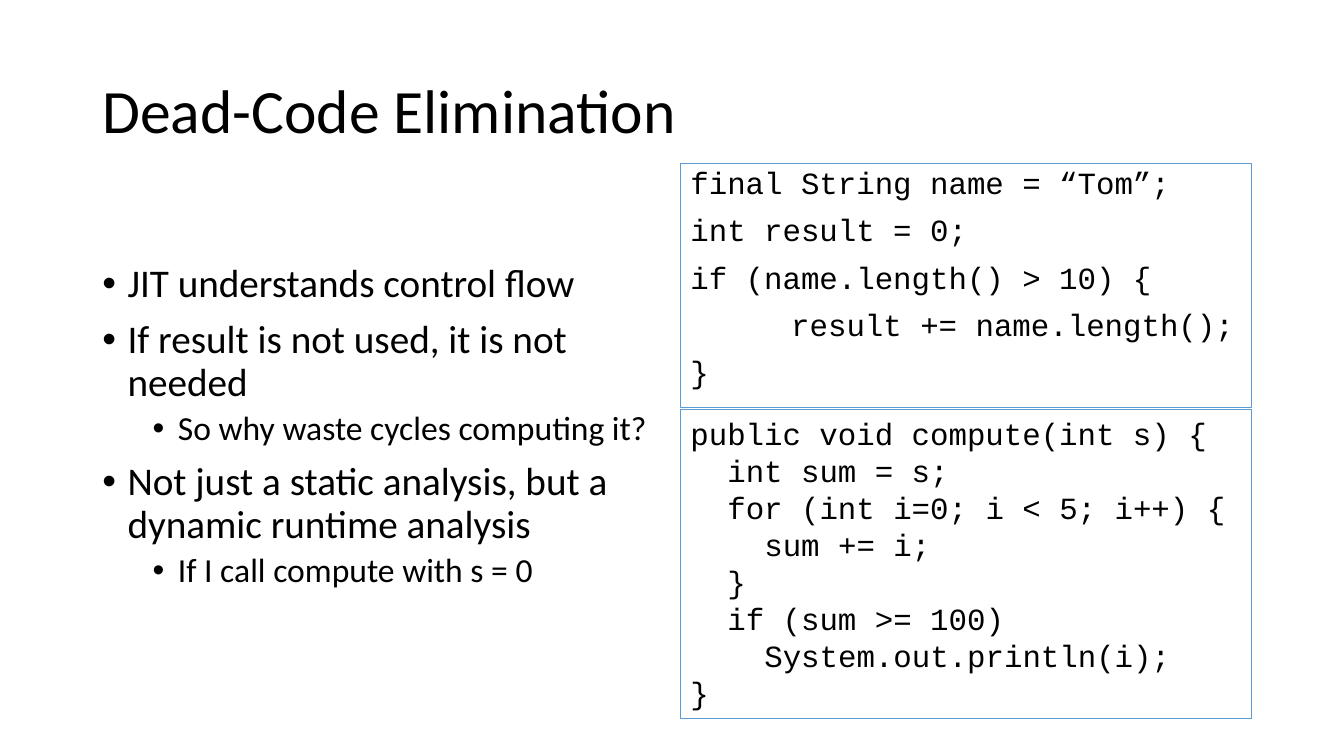
import pptx
import pptx.dml.color
import pptx.enum.shapes
import pptx.enum.text
import pptx.util
from lxml import etree
from pptx.util import Cm

# Content: each line is (indent level, text)
TITLE = [(0, "Dead-Code Elimination")]
POINTS = [
    (0, "JIT understands control flow"),
    (0, "If result is not used, it is not needed"),
    (1, "So why waste cycles computing it?"),
    (0, "Not just a static analysis, but a dynamic runtime analysis"),
    (1, "If I call compute with s = 0"),
]
BRANCH_CODE = [
    (0, "final String name = “Tom”;"),
    (0, "int result = 0;"),
    (0, "if (name.length() > 10) {"),
    (1, "result += name.length();"),
    (0, "}"),
]
METHOD_CODE = [
    (0, "public void compute(int s) {"),
    (1, "int sum = s;"),
    (1, "for (int i=0; i < 5; i++) {"),
    (2, "sum += i;"),
    (1, "}"),
    (1, "if (sum >= 100)"),
    (2, "System.out.println(i);"),
    (0, "}"),
]

# Style
BLACK = pptx.dml.color.RGBColor(0x00, 0x00, 0x00)
BLUE = pptx.dml.color.RGBColor(0x5B, 0x9B, 0xD5)
TEXT_FONT, CODE_FONT = "Calibri", "Courier New"
CODE_SIZE = 22
TAB = Cm(2.54)
TWO_CHARACTERS = pptx.util.Pt(2 * 0.6 * CODE_SIZE)

# Layout: two columns of equal width
LEFT, RIGHT = Cm(2.33), Cm(17.15)
FULL_WIDTH, COLUMN_WIDTH = Cm(29.21), Cm(14.39)


def add_text(page, lines, place, font=TEXT_FONT, sizes=(28,), gaps=(0,),
             spacing=0.9, step=0, bullet=False, outline=None,
             anchor=pptx.enum.text.MSO_ANCHOR.TOP):
    """Add a block of lines; sizes and gaps go by level, the last one repeating."""
    box = page.shapes.add_shape(pptx.enum.shapes.MSO_SHAPE.RECTANGLE, *place)
    box.shadow.inherit = False
    box.fill.background()
    if outline is None:
        box.line.fill.background()
    else:
        box.line.color.rgb = outline
        box.line.width = pptx.util.Pt(0.75)
    frame = box.text_frame
    frame.word_wrap = True
    frame.vertical_anchor = anchor
    for number, (level, text) in enumerate(lines):
        para = frame.add_paragraph() if number else frame.paragraphs[0]
        para.alignment = pptx.enum.text.PP_ALIGN.LEFT
        para.level = level
        para.line_spacing = spacing
        para.space_before = pptx.util.Pt(gaps[min(level, len(gaps) - 1)])
        hanging = Cm(0.635) if bullet else 0
        properties = para._p.get_or_add_pPr()
        properties.set("marL", str(level * step + hanging))
        properties.set("indent", str(-hanging))
        if bullet:
            namespace = properties.nsmap["a"]
            etree.SubElement(properties, f"{{{namespace}}}buFont", typeface="Arial")
            etree.SubElement(properties, f"{{{namespace}}}buChar", char="•")
        span = para.add_run()
        span.text = text
        span.font.name = font
        span.font.size = pptx.util.Pt(sizes[min(level, len(sizes) - 1)])
        span.font.color.rgb = BLACK
    return box


def main():
    deck = pptx.Presentation()
    deck.slide_width, deck.slide_height = Cm(33.87), Cm(19.05)
    page = deck.slides.add_slide(deck.slide_layouts[6])

    # Title and bullet points
    add_text(page, TITLE, (LEFT, Cm(1.01), FULL_WIDTH, Cm(3.68)), sizes=(44,),
             anchor=pptx.enum.text.MSO_ANCHOR.MIDDLE)
    add_text(page, POINTS, (LEFT, Cm(6.52), COLUMN_WIDTH, Cm(10.65)),
             sizes=(28, 24), gaps=(10, 5), step=Cm(1.27), bullet=True)

    # Code boxes
    code_style = dict(font=CODE_FONT, sizes=(CODE_SIZE,), outline=BLUE)
    add_text(page, BRANCH_CODE, (RIGHT, Cm(4.11), COLUMN_WIDTH, Cm(6.15)),
             gaps=(10,), step=TAB, **code_style)
    add_text(page, METHOD_CODE, (RIGHT, Cm(10.33), COLUMN_WIDTH, Cm(7.77)),
             spacing=1.0, step=TWO_CHARACTERS, **code_style)

    deck.save("out.pptx")


if __name__ == "__main__":
    main()
